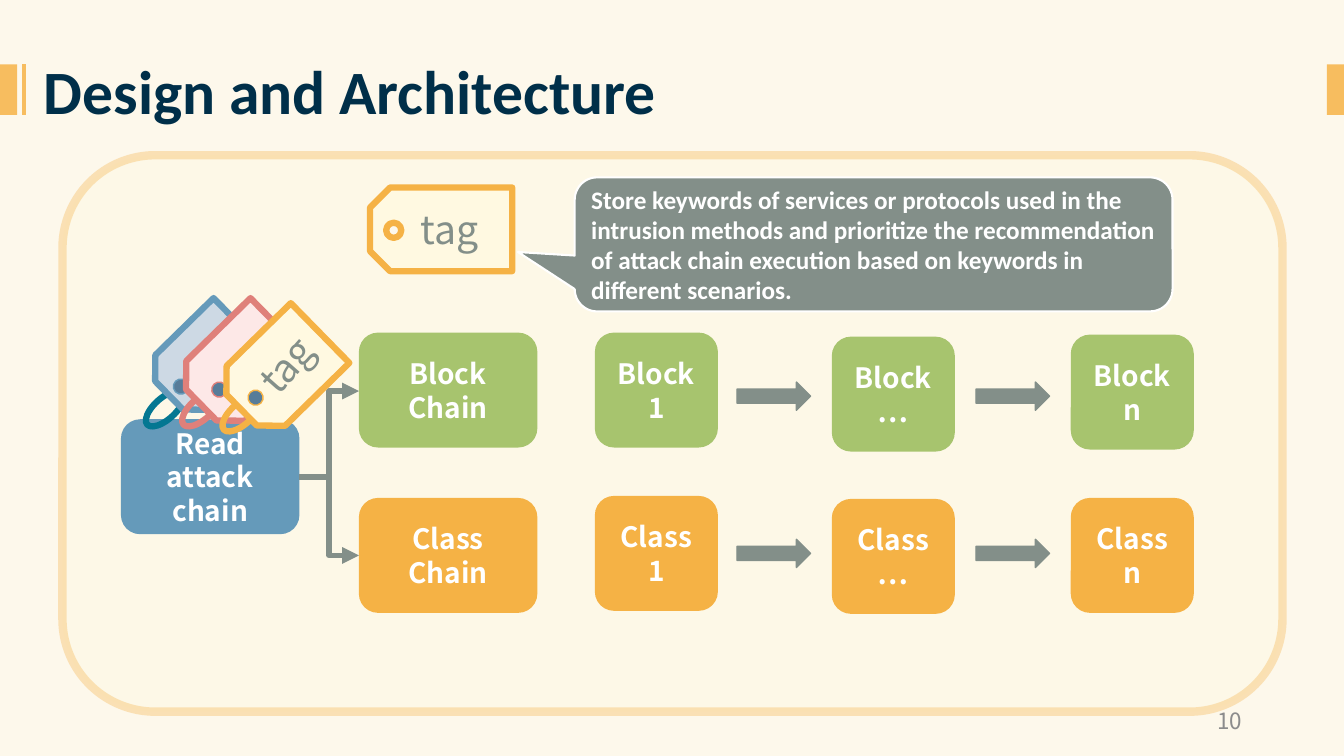
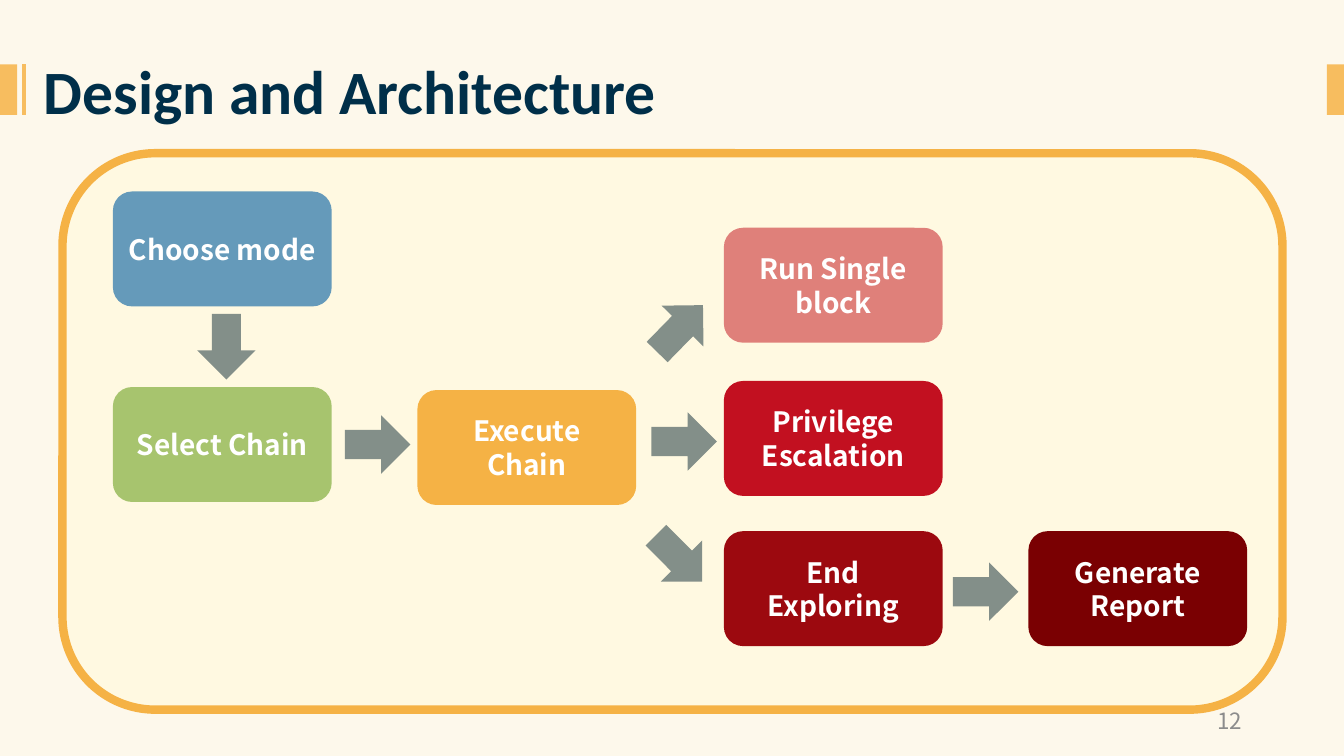
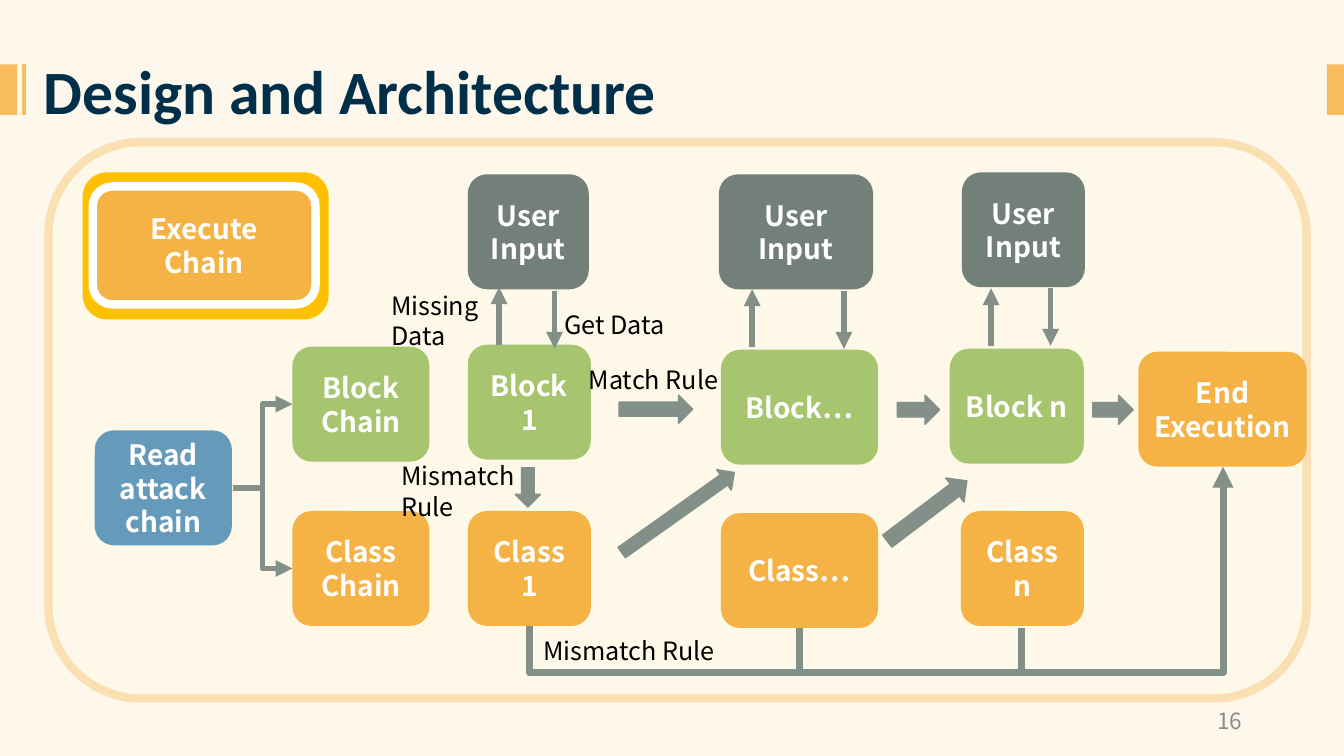
from lxml import etree
from pptx import Presentation
from pptx import util as u
from pptx.dml.color import RGBColor
from pptx.enum import shapes, text
from pptx.oxml.ns import qn

Inches = u.Inches
KIND = shapes.MSO_SHAPE
ALIGN = text.PP_ALIGN
ANCHOR = text.MSO_ANCHOR

# Colours
CREAM = RGBColor(0xFD, 0xF8, 0xEB)
PANEL = RGBColor(0xFF, 0xF9, 0xE1)
BAND = RGBColor(0xF7, 0xBD, 0x5F)
NAVY = RGBColor(0x00, 0x2F, 0x49)
BLUE = RGBColor(0x65, 0x9A, 0xBA)
PALE_BLUE = RGBColor(0xCD, 0xD9, 0xE4)
STEEL = RGBColor(0x57, 0x7C, 0x99)
TEAL = RGBColor(0x04, 0x77, 0x92)
GREEN = RGBColor(0xA7, 0xC4, 0x6E)
ORANGE = RGBColor(0xF5, 0xB2, 0x45)
GOLD = RGBColor(0xFF, 0xC0, 0x00)
PINK = RGBColor(0xDF, 0x80, 0x7A)
PALE_PINK = RGBColor(0xFD, 0xE8, 0xE7)
RED = RGBColor(0xC2, 0x10, 0x20)
DARK_RED = RGBColor(0x9C, 0x09, 0x0F)
MAROON = RGBColor(0x7A, 0x00, 0x02)
GREY = RGBColor(0x83, 0x8F, 0x89)
DARK_GREY = RGBColor(0x73, 0x7F, 0x79)
PAGE_GREY = RGBColor(0x8C, 0x8C, 0x8C)
WHITE = RGBColor(0xFF, 0xFF, 0xFF)
BLACK = RGBColor(0x00, 0x00, 0x00)

# Text styles: size, font, bold, colour, alignment, anchor
SANS = "Noto Sans CJK SC"
BOX_TEXT = (20, SANS, True, WHITE, ALIGN.CENTER, ANCHOR.MIDDLE)
CALLOUT_TEXT = (18, "Calibri", True, WHITE, ALIGN.LEFT, ANCHOR.MIDDLE)
LABEL_TEXT = (18, SANS, False, BLACK, ALIGN.LEFT, ANCHOR.TOP)
TAG_TEXT = (28, SANS, False, GREY, ALIGN.LEFT, ANCHOR.TOP)
PAGE_TEXT = (16, SANS, False, PAGE_GREY, ALIGN.RIGHT, ANCHOR.MIDDLE)

BOX_HEIGHT = 1.14
TAG_CORNERS = (0.24, 0)


def add_box(slide, kind, place, fill=None, line=None, width=1, words="",
            style=BOX_TEXT, rotation=0, adjustments=(), alpha=None):
    """Add a preset shape, or a text box when kind is None."""
    place = [Inches(value) for value in place]
    if kind is None:
        shape = slide.shapes.add_textbox(*place)
    else:
        shape = slide.shapes.add_shape(kind, *place)
        shape.shadow.inherit = False
        for index, value in enumerate(adjustments):
            shape.adjustments[index] = value
        for target, colour in ((shape.fill, fill), (shape.line.fill, line)):
            if colour is None:
                target.background()
            else:
                target.solid()
                target.fore_color.rgb = colour
        if line is not None:
            shape.line.width = u.Pt(width)
    shape.rotation = rotation
    if alpha:
        for colour in shape._element.spPr.iter(qn("a:srgbClr")):
            etree.SubElement(colour, qn("a:alpha"), val=str(alpha * 1000))
    if words:
        size, name, bold, colour, alignment, anchor = style
        frame = shape.text_frame
        frame.text = words
        frame.word_wrap = True
        frame.vertical_anchor = anchor
        for paragraph in frame.paragraphs:
            paragraph.alignment = alignment
            paragraph.line_spacing = u.Pt(size * 1.2)
            font = paragraph.runs[0].font
            for key, value in {"size": u.Pt(size), "name": name, "bold": bold}.items():
                setattr(font, key, value)
            font.color.rgb = colour
            etree.SubElement(font._element, qn("a:ea"), typeface=name)
    return shape


def add_line(slide, start, end, colour=GREY, width=4, arrow=True, elbow=False):
    """Add a straight or bent connector."""
    kind = shapes.MSO_CONNECTOR.ELBOW if elbow else shapes.MSO_CONNECTOR.STRAIGHT
    points = [Inches(value) for value in (*start, *end)]
    connector = slide.shapes.add_connector(kind, *points)
    connector.line.color.rgb = colour
    connector.line.width = u.Pt(width)
    if arrow:
        etree.SubElement(connector.line._get_or_add_ln(), qn("a:tailEnd"), type="triangle")
    etree.SubElement(connector._element.spPr, qn("a:effectLst"))
    return connector


presentation = Presentation()
presentation.slide_width = Inches(13.33)
presentation.slide_height = Inches(7.5)
background = presentation.slide_master.background.fill
background.solid()
background.fore_color.rgb = CREAM

# Shared frame: panel, bands, title and page number
slides = []
for page, panel, alpha in (
    ("10", (0.62, 1.54, 12.1, 5.52), 33),
    ("12", (0.62, 1.52, 12.1, 5.52), None),
    ("16", (0.48, 1.41, 12.48, 5.52), 33),
):
    slide = presentation.slides.add_slide(presentation.slide_layouts[5])
    slides.append(slide)
    add_box(slide, KIND.ROUNDED_RECTANGLE, panel, PANEL, ORANGE, 6, alpha=alpha)
    for left in (0, 13.16):
        add_box(slide, KIND.RECTANGLE, (left, 0.64, 0.17, 0.5), BAND)
    add_line(slide, (0.24, 0.64), (0.24, 1.14), BAND, 3, arrow=False)
    add_box(slide, None, (9.42, 6.95, 3, 0.4), words=page, style=PAGE_TEXT)

    title = slide.shapes.title
    for key, value in {"left": 0.17, "top": 0.47, "width": 6.61, "height": 0.84}.items():
        setattr(title, key, Inches(value))
    frame = title.text_frame
    frame.text = "Design and Architecture"
    for key, value in {"vertical_anchor": ANCHOR.TOP, "word_wrap": True,
                       "auto_size": text.MSO_AUTO_SIZE.NONE}.items():
        setattr(frame, key, value)
    paragraph = frame.paragraphs[0]
    paragraph.alignment = ALIGN.CENTER
    font = paragraph.runs[0].font
    for key, value in {"size": u.Pt(44), "name": "Calibri", "bold": True}.items():
        setattr(font, key, value)
    font.color.rgb = NAVY

tags_slide, modes_slide, execution_slide = slides

# Boxes of all slides: left, top, width, colour, words
flow_boxes = (
    (tags_slide, (
        (1.2, 4.16, 1.77, BLUE, "Read\nattack chain"),
        (3.56, 3.3, 1.77, GREEN, "Block Chain"),
        (3.56, 4.94, 1.77, ORANGE, "Class Chain"),
        (5.9, 3.3, 1.22, GREEN, "Block 1"),
        (5.9, 4.92, 1.22, ORANGE, "Class 1"),
        (8.25, 3.34, 1.22, GREEN, "Block…"),
        (8.25, 4.95, 1.22, ORANGE, "Class…"),
        (10.62, 3.32, 1.22, GREEN, "Block n"),
        (10.62, 4.94, 1.22, ORANGE, "Class n"),
    )),
    (modes_slide, (
        (1.12, 1.9, 2.17, BLUE, "Choose mode"),
        (1.12, 3.84, 2.17, GREEN, "Select Chain"),
        (4.14, 3.87, 2.17, ORANGE, "Execute Chain"),
        (7.18, 2.26, 2.17, PINK, "Run Single block"),
        (7.18, 3.78, 2.17, RED, "Privilege Escalation"),
        (7.18, 5.27, 2.17, DARK_RED, "End Exploring"),
        (10.2, 5.27, 2.17, MAROON, "Generate Report"),
    )),
    (execution_slide, (
        (0.94, 4.27, 1.36, BLUE, "Read\nattack chain"),
        (2.9, 3.44, 1.36, GREEN, "Block Chain"),
        (2.9, 5.07, 1.36, ORANGE, "Class Chain"),
        (4.64, 3.42, 1.22, GREEN, "Block 1"),
        (4.64, 5.07, 1.22, ORANGE, "Class 1"),
        (7.15, 3.47, 1.56, GREEN, "Block…"),
        (7.15, 5.09, 1.56, ORANGE, "Class…"),
        (9.42, 3.46, 1.33, GREEN, "Block n"),
        (9.53, 5.07, 1.22, ORANGE, "Class n"),
        (4.64, 1.73, 1.2, DARK_GREY, "User Input"),
        (7.13, 1.73, 1.53, DARK_GREY, "User Input"),
        (9.54, 1.71, 1.22, DARK_GREY, "User Input"),
        (11.29, 3.49, 1.67, ORANGE, "End Execution"),
    )),
)
for slide, boxes in flow_boxes:
    for left, top, width, colour, words in boxes:
        add_box(slide, KIND.ROUNDED_RECTANGLE, (left, top, width, BOX_HEIGHT), colour, words=words)

# Block arrows of all slides: left, top, width, height, rotation
block_arrows = (
    (tags_slide, GREY, [(left, top, 0.73, 0.28, 0)
                        for top in (3.79, 5.35) for left in (7.31, 9.68)]),
    (modes_slide, None, [(left, top, 0.65, 0.58, rotation) for left, top, rotation in (
        (1.92, 3.15, 90), (3.42, 4.12, 0), (9.45, 5.58, 0),
        (6.42, 2.97, 314.3), (6.46, 4.09, 0), (6.41, 5.25, 45.1))]),
    (execution_slide, GREY, [
        (6.14, 3.92, 0.73, 0.28, 0), (8.9, 3.92, 0.42, 0.29, 0),
        (10.84, 3.92, 0.4, 0.29, 0), (5.04, 4.71, 0.39, 0.25, 90),
        (6.04, 4.96, 1.37, 0.25, 324.6), (8.7, 4.92, 0.99, 0.3, 322.9)]),
)
for slide, line, arrows in block_arrows:
    for *place, rotation in arrows:
        add_box(slide, KIND.RIGHT_ARROW, place, GREY, line, rotation=rotation)

# Forks from the attack chain to the block and class chains
for slide, start, right, ends in (
    (tags_slide, (2.97, 4.73), 3.56, (3.88, 5.51)),
    (execution_slide, (2.31, 4.84), 2.9, (4.01, 5.64)),
):
    for end in ends:
        add_line(slide, start, (right, end), elbow=True)

# First slide: hanging tags, each with a string and a hole
for string, tag, hole, string_colour, fill, colour in (
    ((1.4, 3.95), (1.65, 3.08, 0.76, 0.99), (1.72, 3.76), TEAL, PALE_BLUE, BLUE),
    ((1.76, 3.95), (1.97, 3.09, 0.83, 1.09), (2.1, 3.79), PINK, PALE_PINK, PINK),
    ((2.16, 4), (2.37, 3.14, 0.83, 1.09), (2.46, 3.87), ORANGE, PANEL, ORANGE),
):
    add_box(tags_slide, KIND.OVAL, (*string, 0.47, 0.21), None, string_colour, 4.5, rotation=318)
    add_box(tags_slide, KIND.SNIP_2_SAME_RECTANGLE, tag, fill, colour, 4.5,
            rotation=225.6, adjustments=TAG_CORNERS)
    add_box(tags_slide, KIND.OVAL, (*hole, 0.15, 0.15), STEEL, colour, rotation=225.6)

# First slide: large tag and its explanation
add_box(tags_slide, KIND.SNIP_2_SAME_RECTANGLE, (3.96, 1.57, 0.83, 1.41), PANEL, ORANGE, 4.5,
        rotation=270, adjustments=TAG_CORNERS)
add_box(tags_slide, KIND.OVAL, (3.83, 2.21, 0.15, 0.15), CREAM, ORANGE, 4.5)
for place, rotation in (((2.44, 3.31, 0.83, 0.57), 311.5), ((4.07, 1.99, 1.21, 0.57), 0)):
    add_box(tags_slide, None, place, words="tag", style=TAG_TEXT, rotation=rotation)
add_box(tags_slide, KIND.ROUNDED_RECTANGULAR_CALLOUT, (5.7, 1.76, 5.93, 1.33), GREY, WHITE, 1.5,
        "Store keywords of services or protocols used in the intrusion methods and "
        "prioritize the recommendation of attack chain execution based on keywords in "
        "different scenarios.", CALLOUT_TEXT, adjustments=(-0.595, 0.057, 0.167))

# Third slide: highlighted heading box
add_box(execution_slide, KIND.ROUNDED_RECTANGLE, (0.82, 1.71, 2.44, 1.46), GOLD)
add_box(execution_slide, KIND.ROUNDED_RECTANGLE, (0.92, 1.85, 2.21, 1.17), ORANGE, WHITE, 6,
        "Execute Chain")

# Third slide: arrows between the user inputs and the blocks
for x, start, end in (
    (4.95, 3.42, 2.85), (5.5, 2.89, 3.46),
    (7.46, 3.44, 2.87), (8.37, 2.89, 3.46),
    (9.83, 3.43, 2.86), (10.42, 2.86, 3.43),
):
    add_line(execution_slide, (x, start), (x, end))

# Third slide: mismatch route below the classes, a bent connector turned by 90 degrees
route = add_line(execution_slide, (9.48, 8.86), (7.9, 1.98), width=5, elbow=True)
properties = route._element.spPr
properties.find(qn("a:xfrm")).set("rot", str(90 * 60000))
geometry = properties.find(qn("a:prstGeom"))
guides = geometry.find(qn("a:avLst"))
if guides is None:
    guides = etree.SubElement(geometry, qn("a:avLst"))
etree.SubElement(guides, qn("a:gd"), name="adj1", fmla="val -29400")
for x in (7.93, 10.13):
    add_line(execution_slide, (x, 6.23), (x, 6.66), width=5, arrow=False)

# Third slide: labels
for words, place in (
    ("Missing Data", (3.78, 2.83, 1.61, 0.71)),
    ("Get Data", (5.5, 3.02, 1.49, 0.4)),
    ("Match Rule", (5.74, 3.57, 1.78, 0.4)),
    ("Mismatch Rule", (3.88, 4.52, 1.79, 0.71)),
    ("Mismatch Rule", (5.29, 6.25, 2.46, 0.4)),
):
    add_box(execution_slide, None, place, words=words, style=LABEL_TEXT)

presentation.save("out.pptx")
